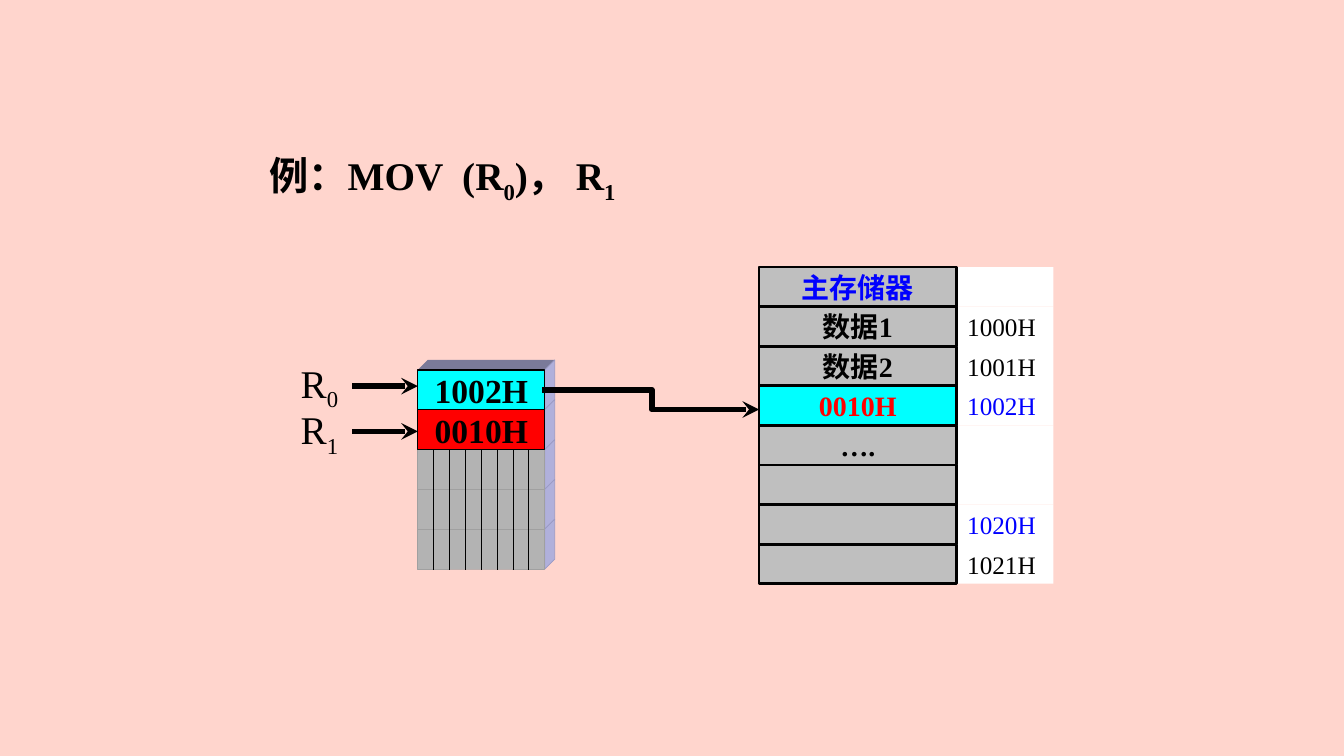
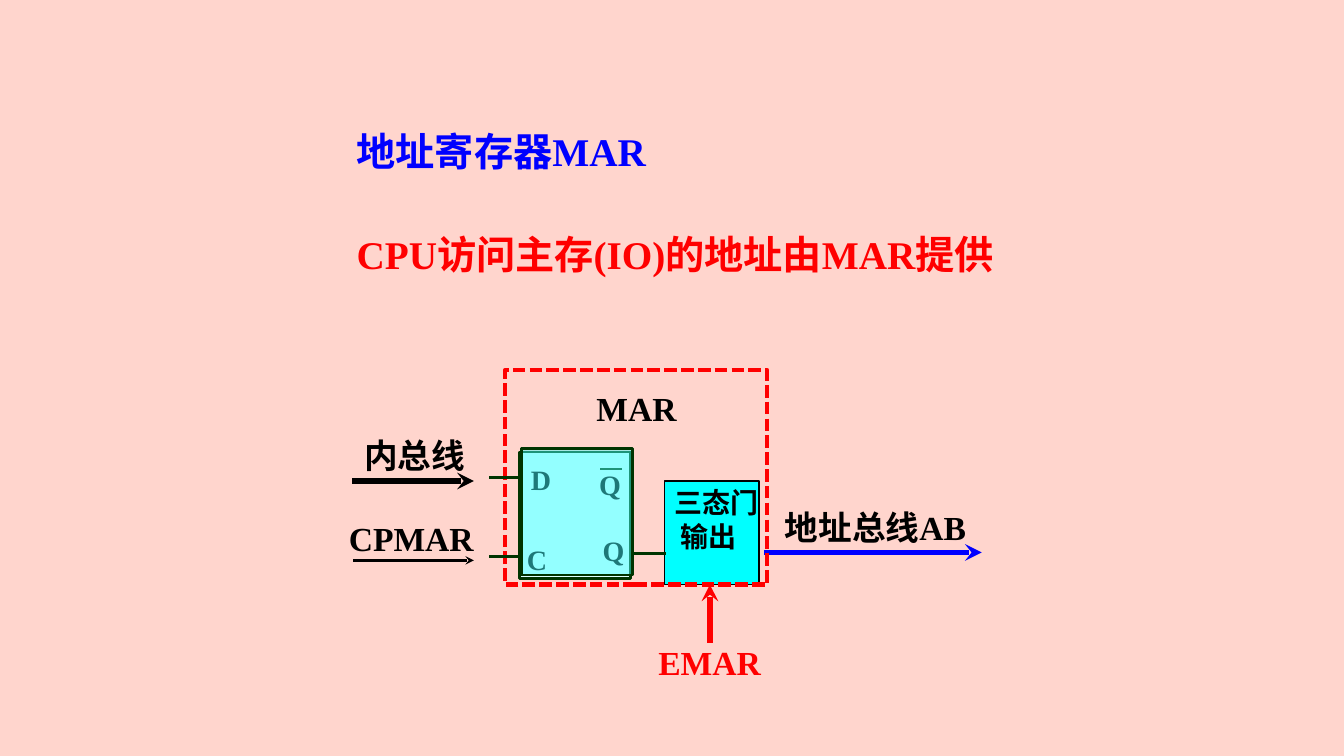
import pptx
import pptx.util
import pptx.dml.color
import pptx.enum.dml
import pptx.enum.shapes
import pptx.enum.text
import pptx.oxml.ns
from dataclasses import dataclass
from lxml import etree

Cm, Pt = pptx.util.Cm, pptx.util.Pt
MSO = pptx.enum.shapes
CENTER = pptx.enum.text.PP_ALIGN.CENTER
qn = pptx.oxml.ns.qn


@dataclass(frozen=True)
class Theme:
    latin: str = "Times New Roman"
    cjk: str = "Noto Sans CJK SC"
    # Colours
    background: str = "FFD5CD"
    black: str = "000000"
    white: str = "FFFFFF"
    blue: str = "0000FF"
    red: str = "FF0000"
    cyan: str = "00FFFF"
    memory: str = "BFBFBF"
    face: str = "B3B3B3"
    edge: str = "A0A0A0"
    side: str = "B0B0DB"
    side_edge: str = "9A9AC4"
    top: str = "7A7A99"
    circuit: str = "003400"
    chip: str = "DDFFFF"
    glass: str = "40FFFF"
    # Type sizes
    title: int = 28
    label: int = 24
    cell: int = 20
    address: int = 18


T = Theme()


def rgb(color):
    return pptx.dml.color.RGBColor.from_string(color)


# ---- Shared parts ----
def new_slide(prs):
    s = prs.slides.add_slide(prs.slide_layouts[6])
    s.background.fill.solid()
    s.background.fill.fore_color.rgb = rgb(T.background)
    return s


def style_run(r, size, color, bold, font):
    r.font.size, r.font.bold, r.font.name = Pt(size), bold, font
    r.font.color.rgb = rgb(color)
    ea = etree.SubElement(r._r.get_or_add_rPr(), qn("a:ea"))
    ea.set("typeface", T.cjk)


def write(tf, text, size, color, bold=True, font=T.latin, align=None):
    """Fill a frame; an underscore lowers the one character after it."""
    tf.text = text.replace("_", "")
    for p in tf.paragraphs:
        p.alignment = align
        if "_" in text:
            head, *tails = text.split("_")
            p.text = head
            for tail in tails:
                r = p.add_run()
                r.text = tail[0]
                r._r.get_or_add_rPr().set("baseline", "-25000")
                if tail[1:]:
                    p.add_run().text = tail[1:]
        for r in p.runs:
            style_run(r, size, color, bold, font)


def add_text(s, x, y, w, h, text, size, color=T.black, bold=True):
    tf = s.shapes.add_textbox(Cm(x), Cm(y), Cm(w), Cm(h)).text_frame
    tf.word_wrap = True
    write(tf, text, size, color, bold)


def paint(sp, fill, line=None, width=1):
    sp.shadow.inherit = False
    if fill:
        sp.fill.solid()
        sp.fill.fore_color.rgb = rgb(fill)
    else:
        sp.fill.background()
    if line:
        sp.line.color.rgb = rgb(line)
        sp.line.width = Pt(width)
    else:
        sp.line.fill.background()
    return sp


def add_box(s, x, y, w, h, fill, line=None, width=1):
    sp = s.shapes.add_shape(MSO.MSO_SHAPE.RECTANGLE, Cm(x), Cm(y), Cm(w), Cm(h))
    return paint(sp, fill, line, width)


def add_cell(s, x, y, w, h, text, size, color, fill, line=None, width=1,
             bold=True, wrap=True):
    sp = add_box(s, x, y, w, h, fill, line, width)
    sp.text_frame.vertical_anchor = pptx.enum.text.MSO_ANCHOR.MIDDLE
    sp.text_frame.word_wrap = wrap
    if text:
        write(sp.text_frame, text, size, color, bold, align=CENTER)
    return sp


def add_line(s, x1, y1, x2, y2, color=T.black, width=4.0, arrow=False,
             kind=MSO.MSO_CONNECTOR.STRAIGHT):
    c = s.shapes.add_connector(kind, Cm(x1), Cm(y1), Cm(x2), Cm(y2))
    c.line.color.rgb = rgb(color)
    c.line.width = Pt(width)
    ln = c.line._get_or_add_ln()
    ln.set("cap", "sq")
    if arrow:
        etree.SubElement(ln, qn("a:tailEnd")).set("type", "stealth")
    etree.SubElement(c._element.spPr, qn("a:effectLst"))
    return c


def add_polygon(s, points, fill, line=None):
    points = [(Cm(x), Cm(y)) for x, y in points]
    fb = s.shapes.build_freeform(*points[0], scale=1.0)
    fb.add_line_segments(points[1:], close=True)
    return paint(fb.convert_to_shape(), fill, line, 0.5)


# ---- Slide 1: register indirect addressing ----
def registers(s, x, y, w, h):
    """Register stack with a raised look; returns the cell of R0."""
    rows, used, bits, depth = 5, 2, 8, 0.25
    row_h, right = h / rows, x + w
    # Top and side faces
    add_polygon(s, [(x, y), (x + depth, y - depth), (right + depth, y - depth),
                    (right, y)], T.top)
    for i in range(rows):
        top = y + i * row_h
        add_polygon(s, [(right, top), (right + depth, top - depth),
                        (right + depth, top + row_h - depth),
                        (right, top + row_h)], T.side, T.side_edge)
        # Unused rows with their bit dividers
        if i >= used:
            add_box(s, x, top, w, row_h, T.face, T.edge, 0.5)
            for bit in range(1, bits):
                bit_x = x + bit * w / bits
                add_line(s, bit_x, top, bit_x, top + row_h, width=0.75)
    # Named registers with their arrows
    cells = []
    for i, (name, value, fill) in enumerate(
            [("R_0", "1002H", T.cyan), ("R_1", "0010H", T.red)]):
        cells.append(add_cell(s, x, y + i * row_h, w, row_h, value, T.label,
                              T.black, fill, T.black, wrap=False))
        add_text(s, x - 3.2, y - 0.4 + i * 1.17, 1.6, 1.45, name, T.title, bold=False)
        arrow_y = y + 0.41 + i * 1.14
        add_line(s, x - 1.59, arrow_y, x, arrow_y, arrow=True)
    return cells[0]


def main_memory(s, x, y, w, h):
    """Memory column with addresses."""
    rows = [("主存储器", "", T.blue), ("数据1", "1000H", T.black),
            ("数据2", "1001H", T.black), ("0010H", "1002H", T.red),
            ("….", "", T.black), ("", "", T.black),
            ("", "1020H", T.black), ("", "1021H", T.black)]
    target, marked = "1002H", ("1002H", "1020H")
    row_h = h / len(rows)
    for i, (value, address, color) in enumerate(rows):
        top = y + i * row_h
        add_cell(s, x + w - 0.18, top, 2.62, row_h, address, T.address,
                 T.blue if address in marked else T.black, T.white, bold=False)
        add_cell(s, x, top, w, row_h, value, T.cell, color,
                 T.cyan if address == target else T.memory, T.black, 2)


def addressing_slide(prs):
    s = new_slide(prs)
    add_text(s, 6.54, 3.7, 11.81, 1.7, "例：MOV  (R_0)， R_1", T.title)
    source = registers(s, 10.53, 9.32, 3.2, 5.02)
    main_memory(s, 19.13, 6.73, 4.98, 7.98)
    c = add_line(s, 13.73, 9.82, 19.13, 10.32, arrow=True,
                 kind=MSO.MSO_CONNECTOR.ELBOW)
    c.begin_connect(source, 3)


# ---- Slide 2: address register ----
def buses(s, x, y):
    """Signals outside the register, placed from its top left corner."""
    add_text(s, x + 6.8, y + 3.33, 5.13, 1.27, "地址总线AB", T.label)
    add_line(s, x + 6.6, y + 4.6, x + 12.01, y + 4.6, T.blue, arrow=True)
    for name, left, top, line_y, width in [("内总线", -3.8, 1.52, 2.8, 4),
                                           ("CPMAR", -4.19, 3.61, 4.8, 2)]:
        add_line(s, x - 3.79, y + line_y, x - 0.79, y + line_y, width=width, arrow=True)
        add_text(s, x + left, y + top, 3.9, 1.27, name, T.label)
    add_line(s, x + 5.16, y + 6.81, x + 5.16, y + 5.41, T.red, arrow=True)
    add_text(s, x + 3.61, y + 6.73, 3.3, 1.27, "EMAR", T.label, T.red)


def mar_register(s, x, y, w, h):
    # Tri-state output gate
    gate = add_box(s, x + 4.01, y + 2.8, 2.39, h - 2.8, T.cyan, T.black)
    tf = gate.text_frame
    tf.vertical_anchor = pptx.enum.text.MSO_ANCHOR.TOP
    tf.word_wrap = True
    tf.margin_left, tf.margin_right = Cm(0.25), 0
    write(tf, "三态门\n输出", T.cell, T.black, font=T.cjk,
          align=pptx.enum.text.PP_ALIGN.LEFT)
    tf.paragraphs[1]._p.get_or_add_pPr().set("marL", str(Cm(0.16)))
    # Outline
    outline = add_box(s, x, y, w, h, None, T.red, 3)
    outline.line.dash_style = pptx.enum.dml.MSO_LINE.SQUARE_DOT
    # Flip-flop with its pins
    add_box(s, x + 0.37, y + 2.07, 2.79, 3.18, T.chip, T.circuit, 2)
    for pin, left, top in [("D", 0.4, 2.21), ("C", 0.3, 4.22),
                           ("Q", 2.21, 4.01), ("Q", 2.12, 2.34)]:
        add_text(s, x + left, y + top, 1.4, 1, pin, T.cell)
    for x1, x2, line_y, width in [(4.01, 3.17, 4.62, 2), (0.36, -0.38, 2.72, 2),
                                  (0.36, -0.38, 4.7, 2), (2.41, 2.92, 2.49, 1.5)]:
        add_line(s, x + x1, y + line_y, x + x2, y + line_y, T.circuit, width)
    add_text(s, x + 2.05, y + 0.33, 2.8, 1.27, "MAR", T.label)
    # Tinted cover over the flip-flop
    cover = add_box(s, x + 0.42, y + 1.99, 2.79, 3.18, T.glass, T.circuit, 2)
    color = cover._element.spPr.find(qn("a:solidFill")).find(qn("a:srgbClr"))
    etree.SubElement(color, qn("a:alpha")).set("val", "47000")


def mar_slide(prs):
    s = new_slide(prs)
    add_text(s, 8.74, 3.09, 13.97, 1.45, "地址寄存器MAR", T.title, T.blue)
    add_text(s, 8.74, 5.68, 17.12, 1.45, "CPU访问主存(IO)的地址由MAR提供",
             T.title, T.red)
    x, y = 12.73, 9.32
    buses(s, x, y)
    mar_register(s, x, y, 6.6, 5.41)


def main():
    prs = pptx.Presentation()
    prs.slide_width, prs.slide_height = Cm(33.87), Cm(19.05)
    addressing_slide(prs)
    mar_slide(prs)
    prs.save("out.pptx")


if __name__ == "__main__":
    main()
